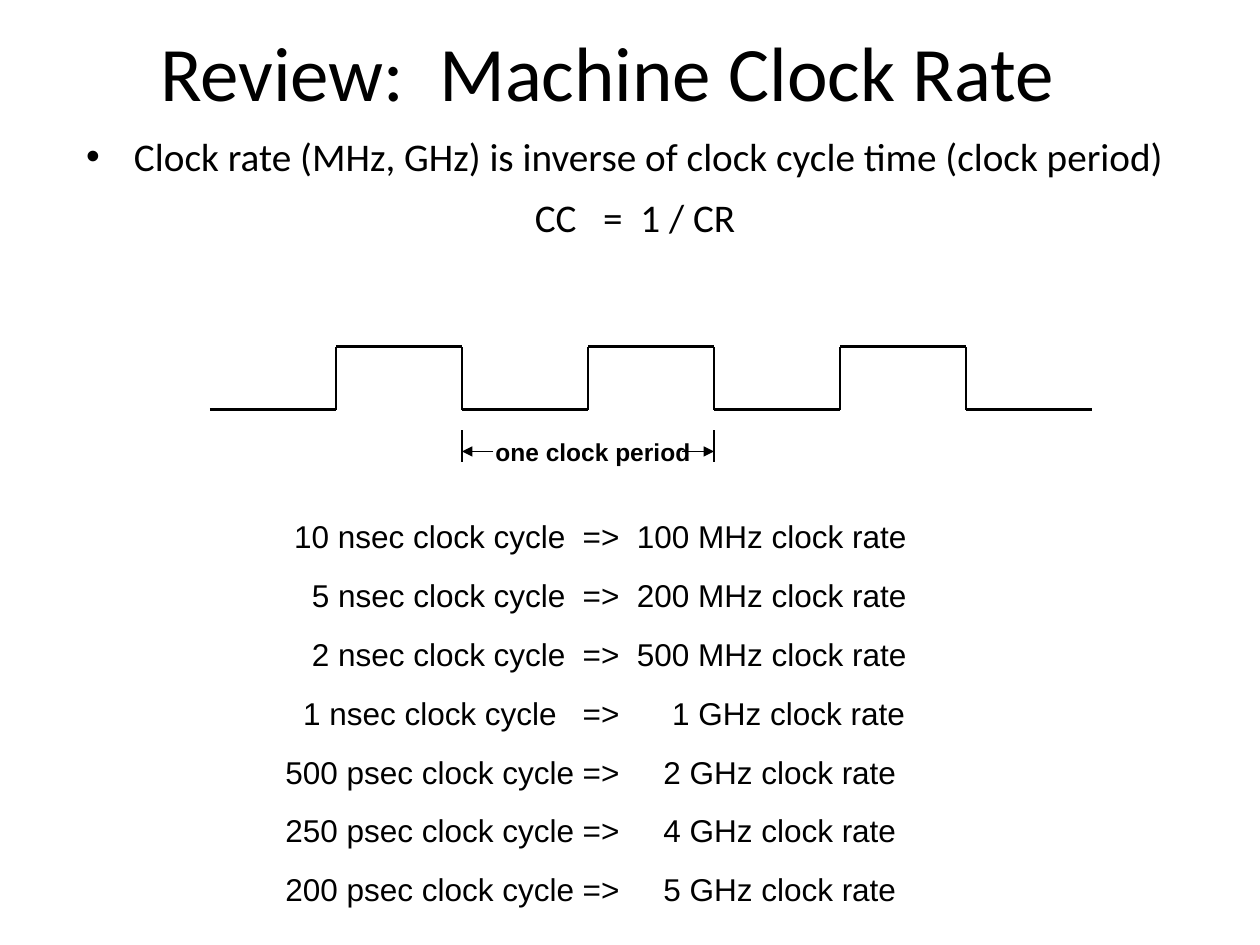
from dataclasses import dataclass

from lxml.etree import SubElement
from pptx import Presentation
from pptx.dml.color import RGBColor
from pptx.enum.shapes import MSO_CONNECTOR
from pptx.enum.text import MSO_ANCHOR, MSO_AUTO_SIZE, PP_ALIGN
from pptx.oxml.ns import qn
from pptx.util import Inches, Pt


@dataclass(frozen=True)
class Theme:
    ink: RGBColor = RGBColor(0, 0, 0)
    heading_font: str = "Calibri"
    label_font: str = "Arial"
    title_size: float = 44
    body_size: float = 22.4
    rate_size: float = 18
    label_size: float = 14
    wave_width: float = 1.5
    mark_width: float = 1


THEME = Theme()
CELLS_PER_INCH = 12
PHASE = 12  # half a clock period, in grid cells
WAVE_LEFT, WAVE_HIGH, WAVE_LOW = 20, 33, 39
PHASES = 7

BODY_INDENT = 0.38
SPACE = 0.07  # one step of the rate list's alignment, in inches
ARROW_STOP, RATE_STOP = 2.36, 2.79

# Cycle time, steps before it, clock rate, steps before it
RATES = [
    ("10 nsec clock cycle", 1, "100 MHz clock rate", 0),
    ("5 nsec clock cycle", 3, "200 MHz clock rate", 0),
    ("2 nsec clock cycle", 3, "500 MHz clock rate", 0),
    ("1 nsec clock cycle", 2, "1 GHz clock rate", 4),
    ("500 psec clock cycle", 0, "2 GHz clock rate", 3),
    ("250 psec clock cycle", 0, "4 GHz clock rate", 3),
    ("200 psec clock cycle", 0, "5 GHz clock rate", 3),
]


def grid(cells):
    return Inches(cells / CELLS_PER_INCH)


def place(box, left, top, width, height):
    box.left, box.top = grid(left), grid(top)
    box.width, box.height = grid(width), grid(height)
    box.text_frame.word_wrap = True
    box.text_frame.auto_size = MSO_AUTO_SIZE.NONE


def add_span(para, text, font, size, bold=False):
    span = para.add_run()
    span.text = text
    span.font.name = font
    span.font.size = Pt(size)
    span.font.bold = bold
    span.font.color.rgb = THEME.ink


def add_text_box(page, left, top, width, height):
    box = page.shapes.add_textbox(0, 0, 0, 0)
    place(box, left, top, width, height)
    return box


def add_line(page, start, end, width, arrow=False):
    """Draw a line between two grid points, with an optional head at its end."""
    line = page.shapes.add_connector(
        MSO_CONNECTOR.STRAIGHT, *map(grid, start), *map(grid, end))
    line.line.color.rgb = THEME.ink
    line.line.width = Pt(width)
    if arrow:
        SubElement(line.line._get_or_add_ln(), qn("a:tailEnd"), type="triangle")
    SubElement(line._element.spPr, qn("a:effectLst"))


def set_hanging_bullet(para, bullet=None):
    properties = para._p.get_or_add_pPr()
    properties.set("marL", str(Inches(BODY_INDENT)))
    properties.set("indent", str(-Inches(BODY_INDENT)))
    if bullet:
        SubElement(properties, qn("a:buChar"), char=bullet)
    else:
        SubElement(properties, qn("a:buNone"))


def set_tab_stops(para, stops):
    tabs = SubElement(para._p.get_or_add_pPr(), qn("a:tabLst"))
    for stop in stops:
        SubElement(tabs, qn("a:tab"), pos=str(Inches(stop)), algn="l")


def fill_title(title):
    place(title, 7, 4, 101.75, 5.5)
    title.text_frame.vertical_anchor = MSO_ANCHOR.MIDDLE
    para = title.text_frame.paragraphs[0]
    para.alignment = PP_ALIGN.CENTER
    add_span(para, "Review:  Machine Clock Rate", THEME.heading_font, THEME.title_size)


def fill_body(body):
    place(body, 7, 12, 107, 16.7)
    frame = body.text_frame
    statement, formula = frame.paragraphs[0], frame.add_paragraph()
    set_hanging_bullet(statement, "•")
    statement.space_before = Pt(0)
    add_span(statement, "Clock rate (MHz, GHz) is inverse of clock cycle time (clock period)",
             THEME.heading_font, THEME.body_size)
    set_hanging_bullet(formula)
    formula.alignment = PP_ALIGN.CENTER
    formula.space_before = Pt(8)
    add_span(formula, "CC   =  1 / CR", THEME.heading_font, THEME.body_size)


def add_clock_wave(page):
    for phase in range(PHASES):
        left = WAVE_LEFT + phase * PHASE
        level = WAVE_HIGH if phase % 2 else WAVE_LOW
        add_line(page, (left, level), (left + PHASE, level), THEME.wave_width)
        if phase:
            add_line(page, (left, WAVE_LOW), (left, WAVE_HIGH), THEME.wave_width)


def add_period_mark(page):
    """Mark one full period below the wave, from falling edge to falling edge."""
    top, middle, bottom = 41, 43, 44
    left = WAVE_LEFT + 2 * PHASE
    right = left + 2 * PHASE
    label = add_text_box(page, left + 2, top, 21, 4)
    add_span(label.text_frame.paragraphs[0], "one clock period",
             THEME.label_font, THEME.label_size, bold=True)
    for edge, inner in ((left, left + 3), (right, right - 3)):
        add_line(page, (edge, top), (edge, bottom), THEME.mark_width)
        add_line(page, (inner, middle), (edge, middle), THEME.mark_width, arrow=True)


def add_rate_list(page):
    frame = add_text_box(page, 26, 48.7, 68, 37.7).text_frame
    for row, (cycle, cycle_steps, rate, rate_steps) in enumerate(RATES):
        para = frame.add_paragraph() if row else frame.paragraphs[0]
        stops = [ARROW_STOP, RATE_STOP + rate_steps * SPACE]
        if cycle_steps:
            stops.insert(0, cycle_steps * SPACE)
            cycle = "\t" + cycle
        set_tab_stops(para, stops)
        para.space_before = Pt(12 if row else 0)
        add_span(para, f"{cycle}\t=>\t{rate}", THEME.label_font, THEME.rate_size)


def main():
    deck = Presentation()
    deck.slide_width, deck.slide_height = Inches(10), Inches(7.5)
    page = deck.slides.add_slide(deck.slide_layouts[1])
    fill_title(page.shapes.title)
    fill_body(page.placeholders[1])
    add_clock_wave(page)
    add_period_mark(page)
    add_rate_list(page)
    deck.save("out.pptx")


if __name__ == "__main__":
    main()
